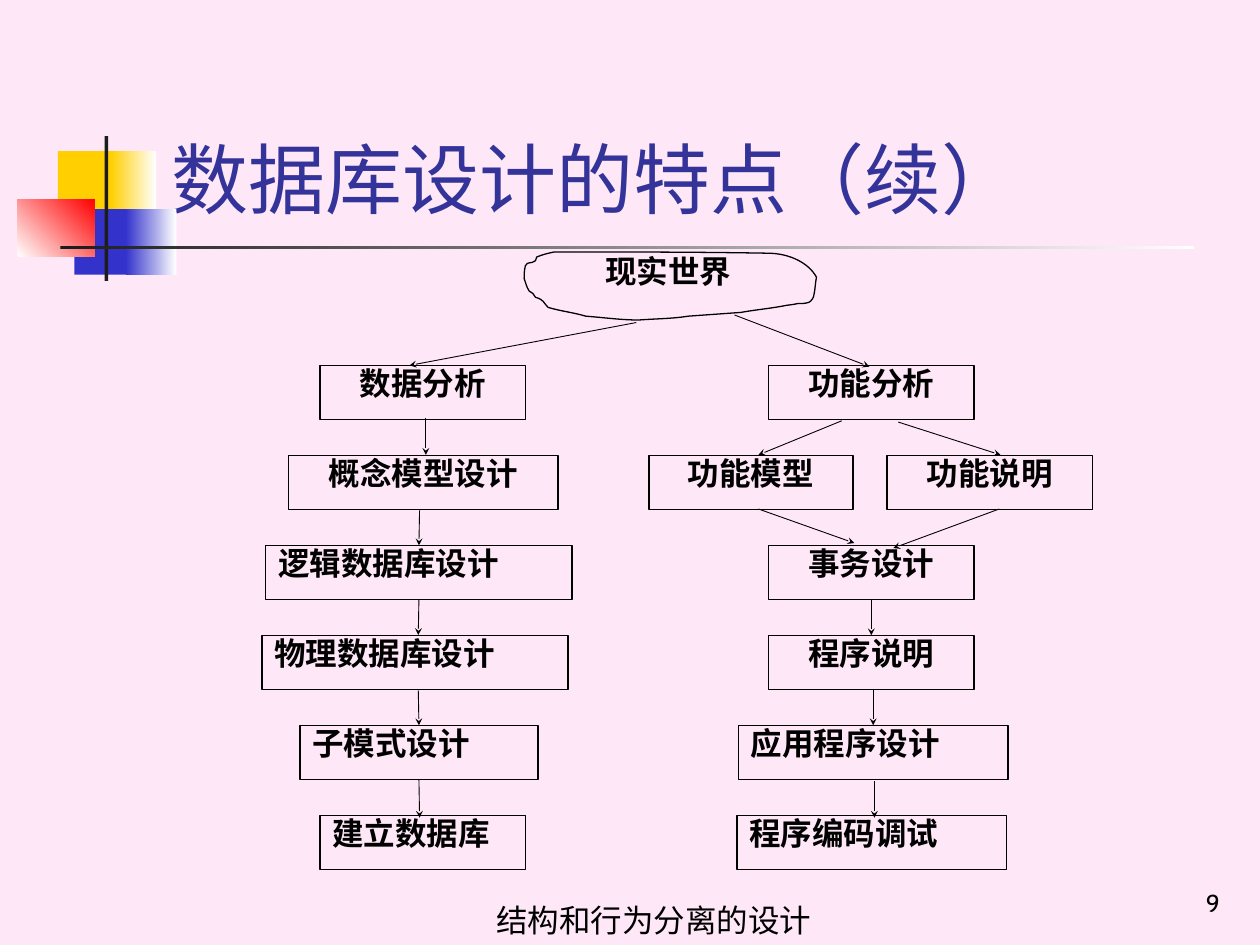
from lxml import etree
from pptx import Presentation
from pptx.dml.color import RGBColor
from pptx.enum import shapes, text
from pptx.oxml import ns
from pptx.util import Inches, Pt

BLACK = "000000"
SERIF, SANS = "Times New Roman", "Cabin"
LEFT, CENTER, RIGHT, JUSTIFY = (text.PP_ALIGN.LEFT, text.PP_ALIGN.CENTER,
                                text.PP_ALIGN.RIGHT, text.PP_ALIGN.JUSTIFY)

# Content
TITLE = "数据库设计的特点（续）"
CAPTION = "结构和行为分离的设计"
PAGE = "9"
WORLD = "现实世界"

# Ornament: left, top, width, height, colours (two make a gradient), angle
ORNAMENT = [
    (0.46, 1.2, 0.48, 0.52, ["FFCF01"], 0),
    (0.88, 1.2, 0.36, 0.52, ["FFCF01", "FFFFFF"], 0),
    (0.59, 1.66, 0.46, 0.52, ["3333CC"], 0),
    (1, 1.66, 0.4, 0.52, ["3333CC", "FFFFFF"], 0),
    (0.14, 1.58, 0.61, 0.46, ["FFFFFF", "FF0000"], 45),
    (0.83, 1.08, 0.03, 1.15, ["1C1C1C"], 0),
    (0.48, 1.95, 9, 0.03, ["1C1C1C", "FFFFFF"], 0),
]

# Boxes by row: name, left, width, alignment
ROW_TOP, ROW_BOTTOM, BOX_HEIGHT = 2.9, 6.47, 0.43
ROWS = [
    [("数据分析", 2.54, 1.63, CENTER), ("功能分析", 6.1, 1.63, CENTER)],
    [("概念模型设计", 2.29, 2.14, CENTER), ("功能模型", 5.15, 1.62, CENTER),
     ("功能说明", 7.04, 1.63, CENTER)],
    [("逻辑数据库设计", 2.11, 2.43, JUSTIFY), ("事务设计", 6.1, 1.63, CENTER)],
    [("物理数据库设计", 2.08, 2.43, JUSTIFY), ("程序说明", 6.1, 1.63, CENTER)],
    [("子模式设计", 2.38, 1.89, JUSTIFY), ("应用程序设计", 5.86, 2.14, JUSTIFY)],
    [("建立数据库", 2.54, 1.63, JUSTIFY), ("程序编码调试", 5.85, 2.14, JUSTIFY)],
]

# Arrows: each end is a box name (joined to its side) or a free point
ARROWS = [
    ((5.05, 2.56), (3.25, 2.9)),
    ((3.38, 3.32), (3.38, 3.61)),
    ((3.33, 4.05), "逻辑数据库设计"),
    ("逻辑数据库设计", (3.32, 5.04)),
    ((3.32, 5.48), "子模式设计"),
    ("子模式设计", (3.33, 6.49)),
    ((5.83, 2.5), (6.9, 2.91)),
    ((6.68, 3.34), (6.02, 3.61)),
    ((7.13, 3.35), (7.94, 3.61)),
    ((6.02, 4.04), (6.78, 4.31)),
    ((7.93, 4.04), (7.09, 4.35)),
    ("事务设计", "程序说明"),
    ((6.93, 5.47), "应用程序设计"),
    ((6.94, 6.2), (6.94, 6.49)),
]

# Cloud outline: start point, then Bézier segments (two controls and an end)
CLOUD_START = (4.26, 2.04)
CLOUD = [
    (4.31, 2.02, 4.35, 2.01, 4.4, 2), (4.96, 2, 5.53, 2, 6.09, 2.01),
    (6.27, 2.01, 6.42, 2.09, 6.48, 2.2), (6.47, 2.25, 6.47, 2.3, 6.46, 2.34),
    (6.46, 2.36, 6.44, 2.39, 6.42, 2.4), (6.39, 2.41, 6.36, 2.41, 6.33, 2.41),
    (6.29, 2.42, 6.25, 2.42, 6.21, 2.43), (6.1, 2.45, 5.99, 2.46, 5.88, 2.48),
    (5.74, 2.49, 5.46, 2.51, 5.46, 2.51), (5.34, 2.53, 5.2, 2.53, 5.07, 2.54),
    (4.93, 2.54, 4.79, 2.52, 4.65, 2.51), (4.55, 2.48, 4.45, 2.47, 4.35, 2.44),
    (4.31, 2.4, 4.32, 2.38, 4.25, 2.36), (4.24, 2.35, 4.24, 2.34, 4.23, 2.33),
    (4.22, 2.32, 4.21, 2.32, 4.2, 2.31), (4.18, 2.28, 4.17, 2.24, 4.16, 2.21),
    (4.16, 2.18, 4.16, 2.15, 4.17, 2.11), (4.19, 2.07, 4.21, 2.1, 4.25, 2.07),
    (4.26, 2.06, 4.26, 2.05, 4.26, 2.04),
]


def rgb(color):
    return RGBColor.from_string(color)


def inches(*values):
    return [Inches(v) for v in values]


def set_text(sp, words, size, font, color=BLACK, align=LEFT,
             anchor=text.MSO_ANCHOR.TOP, bold=False, spacing=None, wrap=True):
    tf = sp.text_frame
    tf.text = words
    tf.word_wrap = wrap
    tf.vertical_anchor = anchor
    p = tf.paragraphs[0]
    p.alignment, p.line_spacing = align, spacing
    r = p.runs[0]
    r.font.size, r.font.name, r.font.bold = Pt(size), font, bold
    r.font.color.rgb = rgb(color)


def label(sp, words, align=CENTER):
    set_text(sp, words, 18, SERIF, align=align, bold=True, spacing=0.8)


def outline(sp):
    sp.shadow.inherit = False
    sp.fill.background()
    sp.line.color.rgb = rgb(BLACK)
    sp.line.width = Pt(0.75)


def add_ornament(s, left, top, width, height, colors, angle):
    sp = s.shapes.add_shape(shapes.MSO_SHAPE.RECTANGLE, *inches(left, top, width, height))
    sp.shadow.inherit = False
    sp.line.fill.background()
    if len(colors) == 1:
        sp.fill.solid()
        sp.fill.fore_color.rgb = rgb(colors[0])
    else:
        sp.fill.gradient()
        sp.fill.gradient_angle = angle
        for stop, color in zip(sp.fill.gradient_stops, colors):
            stop.color.rgb = rgb(color)


def add_cloud(s):
    builder = s.shapes.build_freeform(*inches(*CLOUD_START))
    builder.add_line_segments([inches(*seg[4:]) for seg in CLOUD], close=True)
    sp = builder.convert_to_shape()
    outline(sp)
    # Bend each straight segment into its curve
    for line, seg in zip(list(sp._element.iter(ns.qn("a:lnTo"))), CLOUD):
        curve = etree.Element(ns.qn("a:cubicBezTo"))
        for x, y in zip(seg[::2], seg[1::2]):
            etree.SubElement(curve, ns.qn("a:pt"),
                             x=str(Inches(x) - sp.left), y=str(Inches(y) - sp.top))
        line.getparent().replace(line, curve)


def add_arrow(s, boxes, start, end):
    free = [(0, 0) if isinstance(e, str) else e for e in (start, end)]
    line = s.shapes.add_connector(shapes.MSO_CONNECTOR.STRAIGHT, *inches(*free[0], *free[1]))
    if isinstance(start, str):
        line.begin_connect(boxes[start], 2)
    if isinstance(end, str):
        line.end_connect(boxes[end], 0)
    line.line.color.rgb = rgb(BLACK)
    line.line.width = Pt(0.5)
    etree.SubElement(line.line._get_or_add_ln(), ns.qn("a:tailEnd"),
                     type="stealth", w="sm", len="sm")
    etree.SubElement(line._element.spPr, ns.qn("a:effectLst"))


def main():
    prs = Presentation()
    prs.slide_width, prs.slide_height = inches(10, 7.5)
    s = prs.slides.add_slide(prs.slide_layouts[5])
    s.background.fill.solid()
    s.background.fill.fore_color.rgb = rgb("FEE8F7")

    # Ornament and title
    for part in ORNAMENT:
        add_ornament(s, *part)
    title = s.shapes.title
    title.left, title.top, title.width, title.height = inches(1.26, 0.23, 8.52, 1.6)
    set_text(title, TITLE, 44, SANS, "333399", anchor=text.MSO_ANCHOR.BOTTOM)
    title.text_frame.auto_size = text.MSO_AUTO_SIZE.NONE

    # Cloud and its label
    add_cloud(s)
    label(s.shapes.add_textbox(*inches(4.52, 2.01, 1.57, 0.51)), WORLD)

    # Boxes
    boxes = {}
    row_step = (ROW_BOTTOM - ROW_TOP) / (len(ROWS) - 1)
    for i, row in enumerate(ROWS):
        for name, left, width, align in row:
            sp = s.shapes.add_shape(
                shapes.MSO_SHAPE.RECTANGLE,
                *inches(left, ROW_TOP + i * row_step, width, BOX_HEIGHT))
            outline(sp)
            label(sp, name, align)
            boxes[name] = sp

    # Arrows
    for start, end in ARROWS:
        add_arrow(s, boxes, start, end)

    # Caption and page number
    caption = s.shapes.add_textbox(*inches(3.84, 7.1, 2.7, 0.4))
    set_text(caption, CAPTION, 18, SANS, wrap=False)
    page = s.shapes.add_textbox(*inches(7.7, 6.83, 2.08, 0.5))
    set_text(page, PAGE, 14, SANS, align=RIGHT, anchor=text.MSO_ANCHOR.BOTTOM)

    prs.save("out.pptx")


if __name__ == "__main__":
    main()
